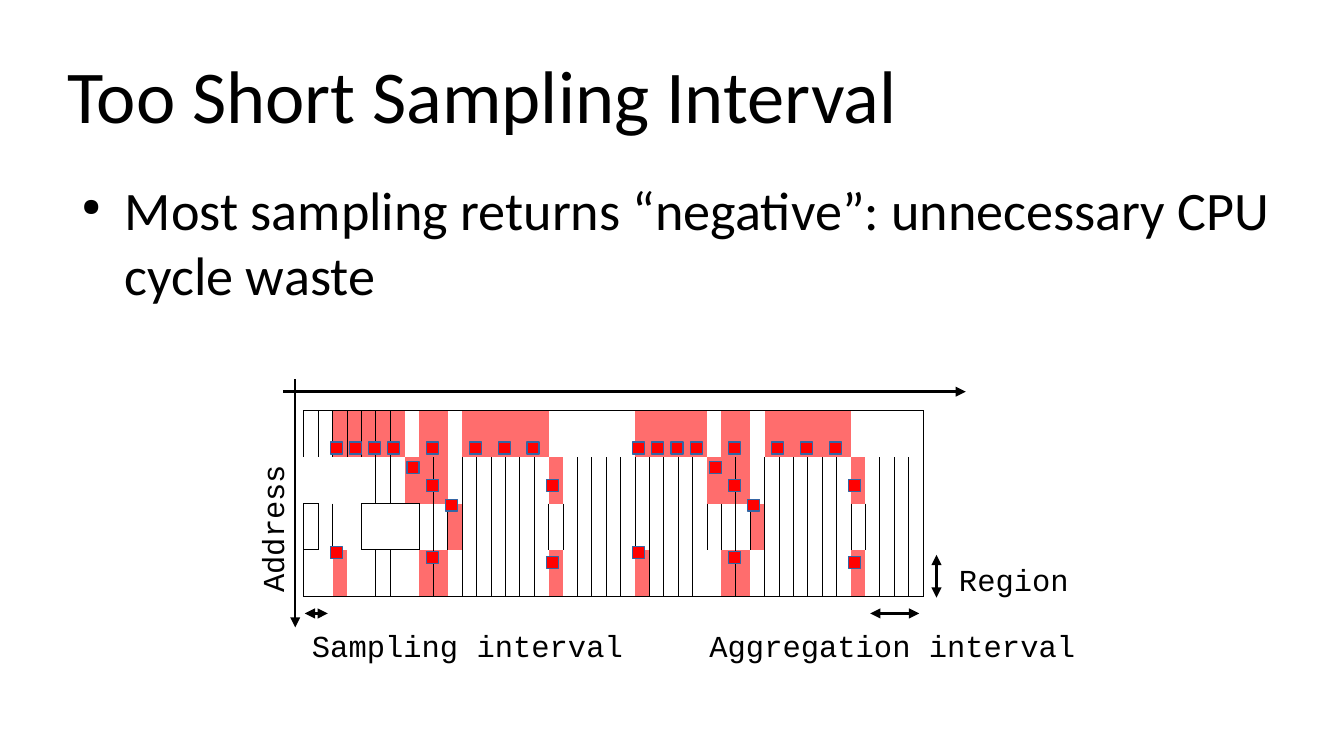
from dataclasses import dataclass

from lxml.etree import SubElement
from pptx import Presentation
from pptx.dml.color import RGBColor
from pptx.enum.shapes import MSO_CONNECTOR as CONNECTOR, MSO_SHAPE as SHAPE
from pptx.enum.text import MSO_ANCHOR as ANCHOR, PP_ALIGN as ALIGN
from pptx.oxml.ns import qn
from pptx.util import Cm, Pt

COLORS = {
    "ink": "000000",
    "idle": "FFFFFF",
    "accessed": "FF6D6D",
    "sample": "FF0000",
    "sample_edge": "3465A4",
}
SANS, MONO = "Calibri", "Courier New"

REGIONS, SAMPLES = 4, 43
PERIOD = 21  # samples until the access pattern repeats
BORDER = 0.57

# Accessed samples of each region
ACCESSED = [
    {*range(2, 7), 8, 9, *range(11, 17), *range(23, 28), 29, 30, *range(32, 38)},
    {7, 8, 9, 17, 28, 29, 30, 38},
    {10, 31},
    {2, 8, 9, 17, 23, 29, 30, 38},
]

# Ruled column edges of each region, counted from the left
UPPER_EDGES = {5, 6, 9, *range(11, 17), *range(19, 28), 30, *range(32, 38), *range(40, 44)}
COLUMN_EDGES = [
    {*range(7), SAMPLES},
    UPPER_EDGES,
    {0, 1, 2, 4, *range(8, 44)},
    (UPPER_EDGES | {0}) - {23},
]

# Ruled samples along each row edge, counted from the top
ISLANDS = {0, *range(4, 8)}
ROW_EDGES = [set(range(SAMPLES)), set(), ISLANDS, ISLANDS, set(range(SAMPLES))]

# Sample points of one period: height in cm, then distances from the left in cm
SAMPLE_POINTS = [
    (0.65, [0.55, 0.95, 1.35, 1.75, 2.55, 3.45, 4.05, 4.65]),
    (1.05, [2.15]),
    (1.43, [2.55, 5.05]),
    (1.84, [2.95]),
    (2.83, [0.55]),
    (2.93, [2.55]),
    (3.03, [5.05]),
]


@dataclass
class Box:
    """A rectangle in centimetres."""
    left: float
    top: float
    width: float
    height: float

    def lengths(self):
        return [Cm(v) for v in (self.left, self.top, self.width, self.height)]


def rgb(name):
    return RGBColor.from_string(COLORS[name])


def write(frame, words, size, font):
    paragraph = frame.paragraphs[0]
    paragraph.alignment = ALIGN.LEFT
    run = paragraph.add_run()
    run.text = words
    run.font.size = Pt(size)
    run.font.name = font
    run.font.color.rgb = rgb("ink")
    return paragraph


def clear_margins(frame):
    frame.margin_left = frame.margin_right = frame.margin_top = frame.margin_bottom = 0


def place_title(slide, box, words):
    title = slide.shapes.title
    title.left, title.top, title.width, title.height = box.lengths()
    frame = title.text_frame
    clear_margins(frame)
    frame.vertical_anchor = ANCHOR.MIDDLE
    write(frame, words, 44, SANS)


def add_bullet(slide, box, words):
    frame = slide.shapes.add_textbox(*box.lengths()).text_frame
    frame.word_wrap = True
    clear_margins(frame)
    props = write(frame, words, 32, SANS)._p.get_or_add_pPr()
    props.set("marL", str(Cm(1.2)))
    props.set("indent", str(Cm(-0.9)))
    SubElement(props, qn("a:buSzPct"), val="45000")
    SubElement(props, qn("a:buChar"), char="●")


def add_label(slide, box, words, rotation=0):
    label = slide.shapes.add_textbox(*box.lengths())
    label.rotation = rotation
    label.text_frame.word_wrap = rotation != 0
    write(label.text_frame, words, 18, MONO)


def add_arrow(slide, start, end, width=0, both_ends=False):
    arrow = slide.shapes.add_connector(
        CONNECTOR.STRAIGHT, *(Cm(v) for v in (*start, *end)))
    arrow.line.color.rgb = rgb("ink")
    arrow.line.width = Pt(width)
    line = arrow.line._get_or_add_ln()
    for end_tag in ["a:headEnd", "a:tailEnd"] if both_ends else ["a:tailEnd"]:
        SubElement(line, qn(end_tag), type="triangle")
    SubElement(arrow._element.spPr, qn("a:effectLst"))


def rule_cell(cell, sides):
    """Draw the named sides of a cell and hide the others."""
    props = cell._tc.get_or_add_tcPr()
    for side in "LRTB":
        line = SubElement(props, qn(f"a:ln{side}"), w=str(Pt(BORDER)))
        if side in sides:
            fill = SubElement(line, qn("a:solidFill"))
            SubElement(fill, qn("a:srgbClr"), val=COLORS["ink"])
        else:
            SubElement(line, qn("a:noFill"))


def add_access_grid(slide, box):
    grid = slide.shapes.add_table(REGIONS, SAMPLES, *box.lengths()).table
    grid.first_row = grid.horz_banding = False
    for column in grid.columns:
        column.width = Cm(box.width / SAMPLES)
    for region, row in enumerate(grid.rows):
        row.height = Cm(box.height / REGIONS)
        for sample, cell in enumerate(row.cells):
            clear_margins(cell)
            ruled = {
                "L": sample in COLUMN_EDGES[region],
                "R": sample + 1 in COLUMN_EDGES[region],
                "T": sample in ROW_EDGES[region],
                "B": sample in ROW_EDGES[region + 1],
            }
            rule_cell(cell, [side for side, drawn in ruled.items() if drawn])
            cell.fill.solid()
            cell.fill.fore_color.rgb = rgb(
                "accessed" if sample in ACCESSED[region] else "idle")


def add_sample_points(slide, box):
    period_width = PERIOD * box.width / SAMPLES
    for period in range(2):
        for down, distances in SAMPLE_POINTS:
            for across in distances:
                spot = Box(box.left + period * period_width + across,
                           box.top + down, 0.25, 0.25)
                point = slide.shapes.add_shape(SHAPE.RECTANGLE, *spot.lengths())
                point.shadow.inherit = False
                point.fill.solid()
                point.fill.fore_color.rgb = rgb("sample")
                point.line.color.rgb = rgb("sample_edge")
                point.line.width = 0


def add_access_diagram(slide, box):
    """Place the grid in the box, with axes, samples and labels around it."""
    left, top = box.left, box.top
    right, bottom = left + box.width, top + box.height
    add_access_grid(slide, box)
    add_arrow(slide, (left - 0.18, top - 0.66), (left - 0.18, bottom + 0.65), 1.5)
    add_arrow(slide, (left - 0.43, top - 0.4), (right + 0.89, top - 0.4), 1.5)
    add_sample_points(slide, box)
    add_label(slide, Box(left - 2.06, top + 1.45, 3.48, 1.7), "Address", 270)

    add_arrow(slide, (right + 0.28, bottom - 0.86), (right + 0.28, bottom + 0.03),
              both_ends=True)
    add_label(slide, Box(right + 0.5, bottom - 0.86, 2.8, 0.97), "Region")

    span_y, label_y = bottom + 0.36, bottom + 0.51
    add_arrow(slide, (right - 1.1, span_y), (right - 0.08, span_y), both_ends=True)
    add_label(slide, Box(right - 4.7, label_y, 8.13, 0.97), "Aggregation interval")
    add_arrow(slide, (left + 0.02, span_y), (left + 0.5, span_y), both_ends=True)
    add_label(slide, Box(left - 0.08, label_y, 6.99, 0.97), "Sampling interval")


def main():
    deck = Presentation()
    deck.slide_width, deck.slide_height = Cm(28), Cm(15.75)
    slide = deck.slides.add_slide(deck.slide_layouts[5])
    place_title(slide, Box(1.4, 0.63, 25.2, 2.63), "Too Short Sampling Interval")
    add_bullet(slide, Box(1.4, 3.68, 25.2, 9.13),
               "Most sampling returns “negative”: unnecessary CPU cycle waste")
    add_access_diagram(slide, Box(6.33, 8.56, 12.9, 3.86))
    deck.save("out.pptx")


if __name__ == "__main__":
    main()
